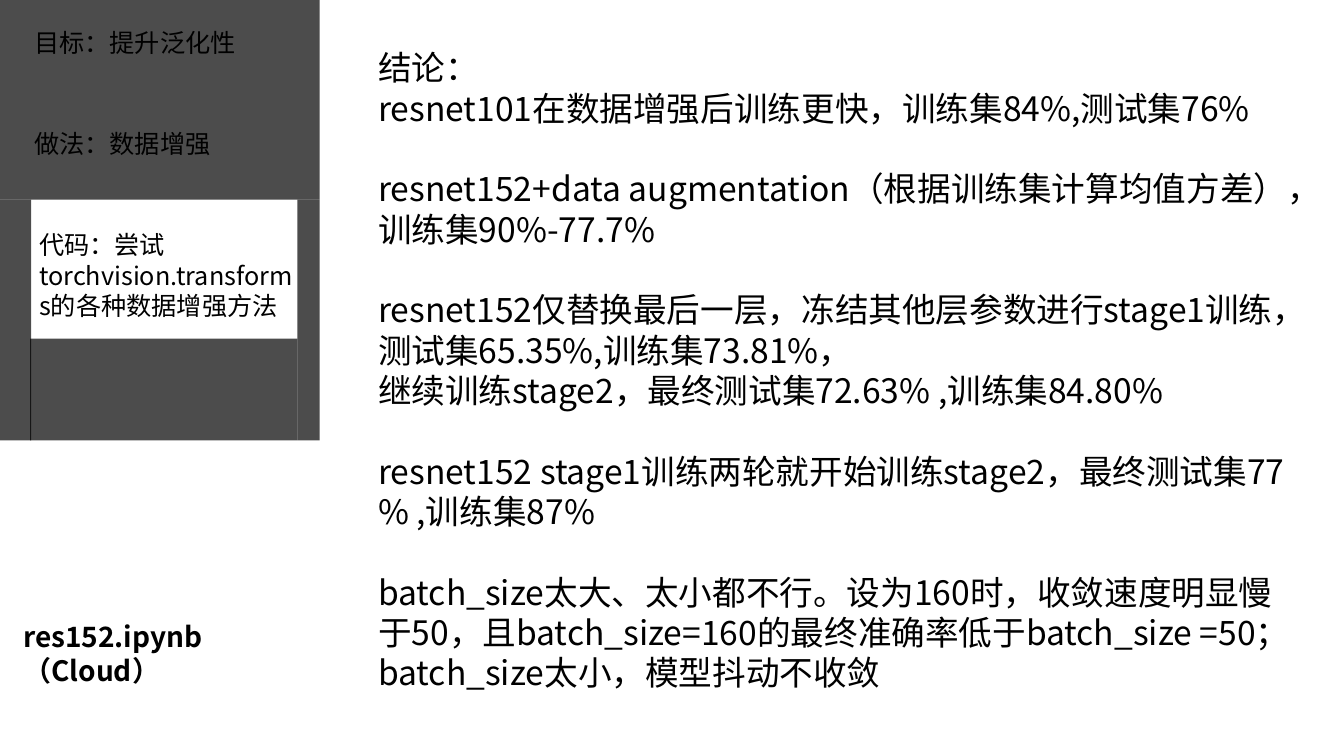
from dataclasses import dataclass

from lxml import etree
from pptx import Presentation
from pptx import util as u
from pptx.dml.color import RGBColor
from pptx.enum import shapes, text
from pptx.oxml.ns import qn


@dataclass(frozen=True)
class Theme:
    """Colours, font and type sizes of the slide."""
    ink: RGBColor = RGBColor(0, 0, 0)
    font: str = "Noto Sans CJK SC"
    note: int = 18
    label: int = 20
    body: int = 24
    leading: float = 1.2
    dim_alpha: int = 70000


THEME = Theme()
STEPS = ["目标：提升泛化性", "做法：数据增强"]
CODE = "代码：尝试torchvision.transforms的各种数据增强方法"
NOTEBOOK = ["res152.ipynb", "（Cloud）"]
FINDINGS = [
    ["结论：", "resnet101在数据增强后训练更快，训练集84%,测试集76%"],
    ["resnet152+data augmentation（根据训练集计算均值方差），训练集90%-77.7%"],
    ["resnet152仅替换最后一层，冻结其他层参数进行stage1训练，测试集65.35%,训练集73.81%，",
     "继续训练stage2，最终测试集72.63% ,训练集84.80%"],
    ["resnet152 stage1训练两轮就开始训练stage2，最终测试集77 % ,训练集87%"],
    ["batch_size太大、太小都不行。设为160时，收敛速度明显慢于50，且batch_size=160的"
     "最终准确率低于batch_size =50； batch_size太小，模型抖动不收敛"],
]


def place(sp, box):
    """Move a shape to a box of left, top, width and height in inches."""
    sp.left, sp.top, sp.width, sp.height = (u.Inches(v) for v in box)


def write(sp, groups, size, bold=False):
    """Write groups of paragraphs, one line apart from each other."""
    tf = sp.text_frame
    tf.word_wrap = True
    tf.auto_size = text.MSO_AUTO_SIZE.NONE
    tf.vertical_anchor = text.MSO_ANCHOR.TOP
    tf.text = "\n".join(line for group in groups for line in group)
    leading = u.Pt(round(size * THEME.leading, 1))
    starts = {sum(map(len, groups[:i])) for i in range(1, len(groups))}
    for i, p in enumerate(tf.paragraphs):
        p.alignment = text.PP_ALIGN.LEFT
        p.line_spacing = leading
        p.space_before = leading if i in starts else u.Pt(0)
        pPr = p._p.get_or_add_pPr()
        pPr.set("marL", "0")
        pPr.set("indent", "0")
        etree.SubElement(pPr, qn("a:buNone"))
        for r in p.runs:
            r.font.name, r.font.size, r.font.bold = THEME.font, u.Pt(size), bold
            r.font.color.rgb = THEME.ink
            ea = etree.Element(qn("a:ea"), typeface=THEME.font)
            r._r.rPr.find(qn("a:latin")).addnext(ea)


def add_note(s, box, line):
    """Add a small text box with one paragraph."""
    sp = s.shapes.add_textbox(*(u.Inches(v) for v in box))
    write(sp, [[line]], THEME.note)


def add_dim(s, box):
    """Add a translucent dark rectangle."""
    sp = s.shapes.add_shape(shapes.MSO_SHAPE.RECTANGLE, *(u.Inches(v) for v in box))
    sp.shadow.inherit = False
    sp.fill.solid()
    sp.fill.fore_color.rgb = THEME.ink
    sp.line.fill.background()
    colour = sp._element.spPr.find(qn("a:solidFill"))[0]
    etree.SubElement(colour, qn("a:alpha"), val=str(THEME.dim_alpha))


def add_plan(s, box):
    """Show the plan with all but the code step dimmed."""
    x, y, w, h = box
    add_note(s, (x + 0.3, y + 2.24, 2.73, 1.31), CODE)
    for i, step in enumerate(STEPS):
        add_note(s, (x + 0.25, y + 0.23 + i, 2.73, 0.4), step)
    left, right, top, bottom = 0.32, 0.22, 1.99, 1.01
    sides = h - top
    add_dim(s, (x, y, w, top))
    add_dim(s, (x - 0.01, y + top, left + 0.01, sides))
    add_dim(s, (x + w - right, y + top, right, sides))
    add_dim(s, (x + left - 0.01, y + h - bottom, w - left - right + 0.01, bottom))


def add_notebook(s, box):
    """Name the notebook in the title placeholder."""
    sp = s.shapes.title
    place(sp, box)
    write(sp, [NOTEBOOK], THEME.label, bold=True)


def add_findings(s, box):
    """List the findings in the body placeholder."""
    sp = s.placeholders[1]
    place(sp, box)
    write(sp, FINDINGS, THEME.body)


def main():
    """Build and save the slide."""
    prs = Presentation()
    prs.slide_width, prs.slide_height = u.Inches(13.33), u.Inches(7.5)
    s = prs.slides.add_slide(prs.slide_layouts[1])
    add_plan(s, (-0.01, -0.01, 3.18, 4.38))
    add_notebook(s, (0.13, 6.1, 2.46, 0.77))
    add_findings(s, (3.65, 0.42, 9.32, 6.56))
    prs.save("out.pptx")


if __name__ == "__main__":
    main()
